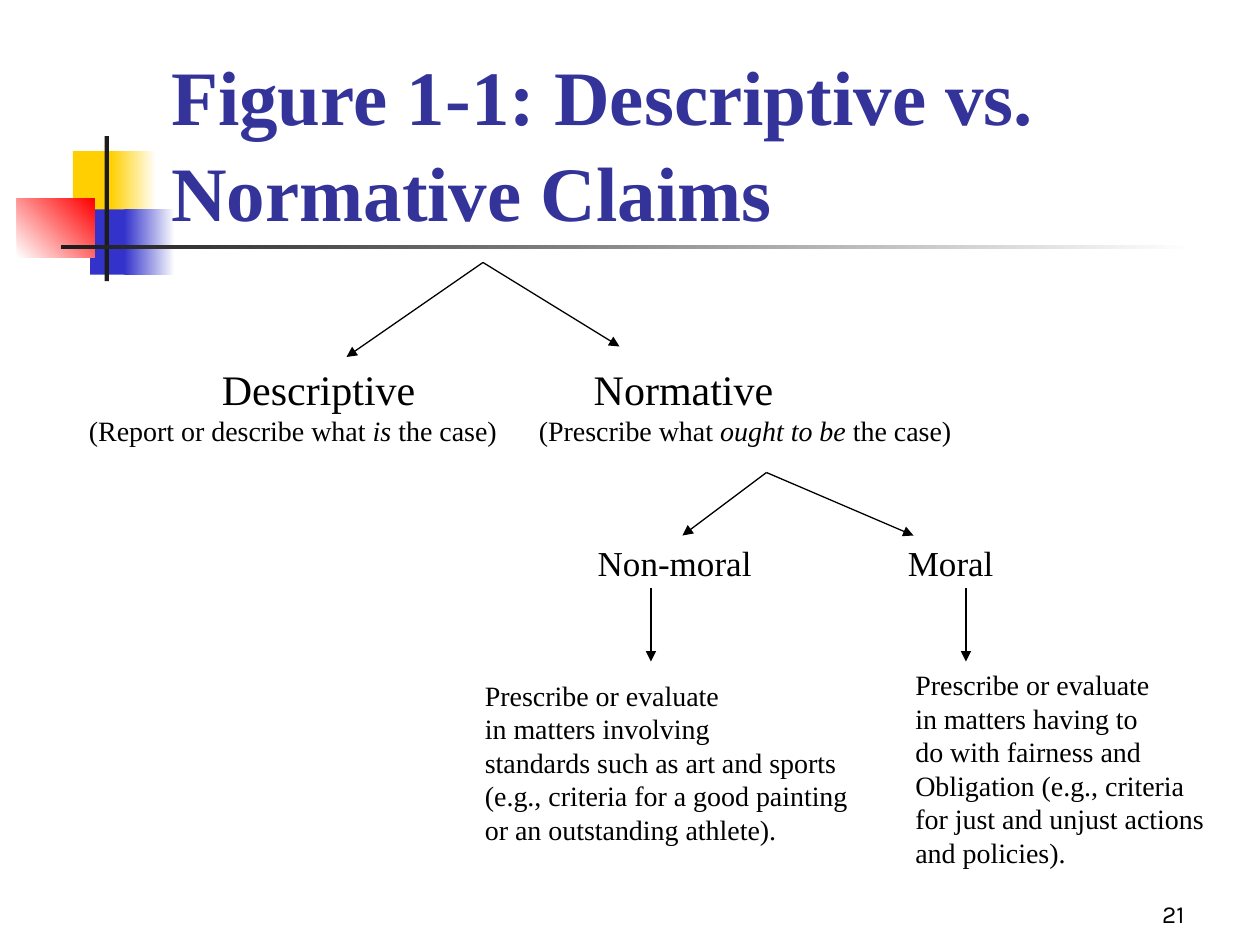
import pptx
import pptx.dml.color
import pptx.enum.shapes
import pptx.enum.text
import pptx.oxml.ns
import pptx.util
from lxml import etree

Pt = pptx.util.Pt
RGB = pptx.dml.color.RGBColor
ANCHOR = pptx.enum.text.MSO_ANCHOR
ALIGN = pptx.enum.text.PP_ALIGN

BLACK = RGB(0, 0, 0)
WHITE = RGB(255, 255, 255)
YELLOW = RGB(0xFF, 0xCF, 0x01)
BLUE = RGB(0x33, 0x33, 0xCC)
RED = RGB(255, 0, 0)
CHARCOAL = RGB(0x1C, 0x1C, 0x1C)
NAVY = RGB(0x33, 0x33, 0x99)
SERIF = "Times New Roman"


def style(run, size, color=BLACK, font=SERIF, bold=False, italic=False):
    """Format one run."""
    run.font.size, run.font.name = Pt(size), font
    run.font.bold, run.font.italic = bold, italic
    run.font.color.rgb = color


def add_text(slide, box, lines, size, align=ALIGN.LEFT, anchor=ANCHOR.TOP, **look):
    """Place a wrapped text box, one paragraph per line; return its frame."""
    frame = slide.shapes.add_textbox(*map(Pt, box)).text_frame
    frame.word_wrap = True
    frame.vertical_anchor = anchor
    frame.text = "\n".join(lines)
    for paragraph in frame.paragraphs:
        paragraph.alignment = align
        for run in paragraph.runs:
            style(run, size, **look)
    return frame


def add_block(slide, box, start, end=None, angle=0):
    """Place a borderless rectangle, plain or fading from start to end."""
    block = slide.shapes.add_shape(
        pptx.enum.shapes.MSO_SHAPE.RECTANGLE, *map(Pt, box))
    block.shadow.inherit = False
    block.line.fill.background()
    if end is None:
        block.fill.solid()
        block.fill.fore_color.rgb = start
        return
    block.fill.gradient()
    block.fill.gradient_angle = angle
    for stop, color, position in zip(block.fill.gradient_stops, (start, end), (0, 1)):
        stop.color.rgb, stop.position = color, position


def add_arrow(slide, start, end):
    """Draw a thin black arrow from start to end."""
    arrow = slide.shapes.add_connector(
        pptx.enum.shapes.MSO_CONNECTOR.STRAIGHT, *map(Pt, start + end))
    arrow.line.width = Pt(0.75)
    arrow.line.color.rgb = BLACK
    qn = pptx.oxml.ns.qn
    etree.SubElement(arrow.line._get_or_add_ln(), qn("a:tailEnd"), type="triangle")
    etree.SubElement(arrow._element.spPr, qn("a:effectLst"))


def add_ornament(slide, left, top):
    """Draw the coloured squares and the crossing bars."""
    for x, y, width, height, *fill in (
        (31.7, 8.6, 35, 37.4, YELLOW),
        (53.4, 8.6, 25.9, 37.4, YELLOW, WHITE),
        (41.5, 41.8, 33.1, 37.4, BLUE),
        (61, 41.8, 29, 37.4, BLUE, WHITE),
        (-0.3, 35.8, 44.4, 33.4, WHITE, RED, 45),
        (49.8, 0, 2.4, 82.8, CHARCOAL),
        (24.6, 62.3, 648, 2.5, CHARCOAL, WHITE),
    ):
        add_block(slide, (left + x, top + y, width, height), *fill)


def add_claim(slide, box, name, indent, gloss):
    """Place a claim's name, indented, over its gloss with the middle part italic."""
    frame = add_text(slide, box, [name, ""], 24)
    heading, explanation = frame.paragraphs
    heading._p.get_or_add_pPr().set("marL", str(Pt(indent)))
    for index, part in enumerate(gloss):
        run = explanation.add_run()
        run.text = part
        style(run, 16, italic=index == 1)


def add_kind(slide, left, top, name, stem, box, details):
    """Place a kind of normative claim, its arrow and its explanation."""
    add_text(slide, (left, top, 130, 32), [name], 20)
    add_arrow(slide, (stem, top + 30), (stem, top + 72))
    add_text(slide, box, details, 16)


def build_slide(slide):
    """Lay out the title and the tree of claims."""
    add_ornament(slide, 10, 77.8)
    title = add_text(slide, (90.7, 49, 613.4, 90), ["Figure 1-1: Descriptive vs. Normative Claims"],
                     44, anchor=ANCHOR.BOTTOM, color=NAVY, bold=True)
    title.paragraphs[0].line_spacing = 1.04

    add_claim(slide, (43.7, 204, 256, 55), "Descriptive", 76,
              ("(Report or describe what ", "is", " the case)"))
    add_claim(slide, (300.8, 204, 260, 55), "Normative", 31.4,
              ("(Prescribe what ", "ought to be", " the case)"))
    add_kind(slide, 334.5, 306, "Non-moral", 372, (270, 384, 230, 122),
             ["Prescribe or evaluate", "in matters involving",
              "standards such as art and sports",
              "(e.g., criteria for a good painting", "or an outstanding athlete)."])
    add_kind(slide, 511.7, 306, "Moral", 552, (516, 378, 180, 122),
             ["Prescribe or evaluate", "in matters having to", "do with fairness and",
              "Obligation (e.g., criteria for just and unjust actions and policies)."])

    for fork, tips in (((276, 150), ((198, 204), (354, 198))),
                       ((438, 270), ((390, 306), (522, 306)))):
        for tip in tips:
            add_arrow(slide, fork, tip)
    add_text(slide, (534, 498, 150, 36), ["21"], 14, align=ALIGN.RIGHT,
             anchor=ANCHOR.BOTTOM, font="Karla")


deck = pptx.Presentation()
deck.slide_width, deck.slide_height = Pt(720), Pt(540)
build_slide(deck.slides.add_slide(deck.slide_layouts[6]))
deck.save("out.pptx")
